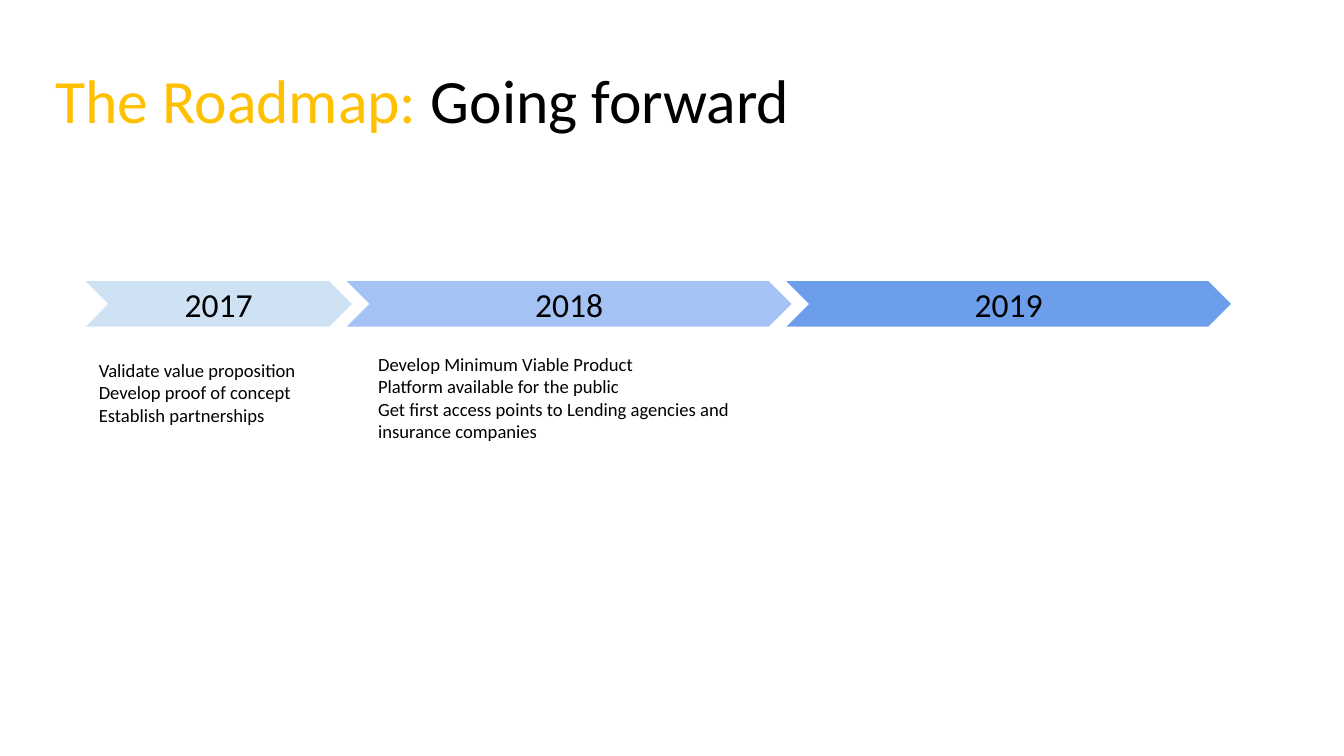
from dataclasses import dataclass
from typing import Optional

from pptx import Presentation
from pptx.dml.color import RGBColor
from pptx.enum.shapes import MSO_SHAPE as Preset
from pptx.enum.text import MSO_ANCHOR as Anchor, MSO_AUTO_SIZE as AutoSize, PP_ALIGN as Align
from pptx.slide import Slide
from pptx.text.text import TextFrame
from pptx.util import Emu, Pt

FONT = "Calibri"
BLACK = "000000"
AMBER = "FFC000"
CHEVRON_TOP = 279
CHEVRON_HEIGHT = 45


@dataclass(frozen=True)
class Box:
    left: int
    top: int
    width: int
    height: int


@dataclass(frozen=True)
class Goals:
    box: Box
    lines: tuple[str, ...]


@dataclass(frozen=True)
class Year:
    label: str
    left: int
    width: int
    fill: str
    goals: Optional[Goals] = None


YEARS = (
    Year("2017", 85, 264, "CFE2F3", Goals(Box(85, 343, 244, 128), (
        "Validate value proposition",
        "Develop proof of concept",
        "Establish partnerships",
    ))),
    Year("2018", 344, 441, "A4C2F4", Goals(Box(362, 337, 418, 111), (
        "Develop Minimum Viable Product",
        "Platform available for the public",
        "Get first access points to Lending agencies and insurance companies",
    ))),
    Year("2019", 780, 441, "6D9EEB"),
)


def px(length: int) -> Emu:
    """Turn px, at 100 to the inch, into EMU."""
    return Emu(length * 9144)


def place(box: Box) -> tuple[Emu, Emu, Emu, Emu]:
    """Return the position and size of a box in EMU."""
    return px(box.left), px(box.top), px(box.width), px(box.height)


def rgb(colour: str) -> RGBColor:
    """Turn a hex string into a colour."""
    return RGBColor.from_string(colour)


def set_frame(frame: TextFrame, inset: int, anchor: Anchor) -> None:
    """Set wrapping, equal insets and the anchor of a text frame."""
    frame.word_wrap = True
    frame.auto_size = AutoSize.NONE
    frame.vertical_anchor = anchor
    frame.margin_left = frame.margin_right = px(inset)
    frame.margin_top = frame.margin_bottom = px(inset)


def add_run(paragraph, text: str, size: float, colour: str = BLACK) -> None:
    """Add one formatted run to a paragraph."""
    run = paragraph.add_run()
    run.text = text
    run.font.name = FONT
    run.font.size = Pt(size)
    run.font.color.rgb = rgb(colour)


def fill_title(slide: Slide) -> None:
    """Place and fill the title placeholder."""
    title = slide.shapes.title
    title.left, title.top, title.width, title.height = place(Box(45, 60, 1242, 89))
    set_frame(title.text_frame, 10, Anchor.TOP)
    heading = title.text_frame.paragraphs[0]
    heading.alignment = Align.LEFT
    heading.line_spacing = 0.9
    add_run(heading, "The Roadmap: ", 44, AMBER)
    add_run(heading, "Going forward", 44)


def add_chevron(slide: Slide, year: Year) -> None:
    """Draw the chevron of one year."""
    box = Box(year.left, CHEVRON_TOP, year.width, CHEVRON_HEIGHT)
    chevron = slide.shapes.add_shape(Preset.CHEVRON, *place(box))
    chevron.adjustments[0] = 0.5
    chevron.shadow.inherit = False
    chevron.fill.solid()
    chevron.fill.fore_color.rgb = rgb(year.fill)
    chevron.line.fill.background()
    set_frame(chevron.text_frame, 13, Anchor.MIDDLE)
    label = chevron.text_frame.paragraphs[0]
    label.alignment = Align.CENTER
    add_run(label, year.label, 24)


def add_goals(slide: Slide, goals: Goals) -> None:
    """Write the goals of one year, a paragraph each."""
    frame = slide.shapes.add_textbox(*place(goals.box)).text_frame
    set_frame(frame, 13, Anchor.TOP)
    for index, line in enumerate(goals.lines):
        paragraph = frame.add_paragraph() if index else frame.paragraphs[0]
        add_run(paragraph, line, 13.3)


def main() -> None:
    """Build the roadmap slide and save it."""
    deck = Presentation()
    deck.slide_width, deck.slide_height = px(1333), px(750)
    slide = deck.slides.add_slide(deck.slide_layouts.get_by_name("Title Only"))
    fill_title(slide)
    for year in YEARS:
        add_chevron(slide, year)
        if year.goals:
            add_goals(slide, year.goals)
    deck.save("out.pptx")


if __name__ == "__main__":
    main()
